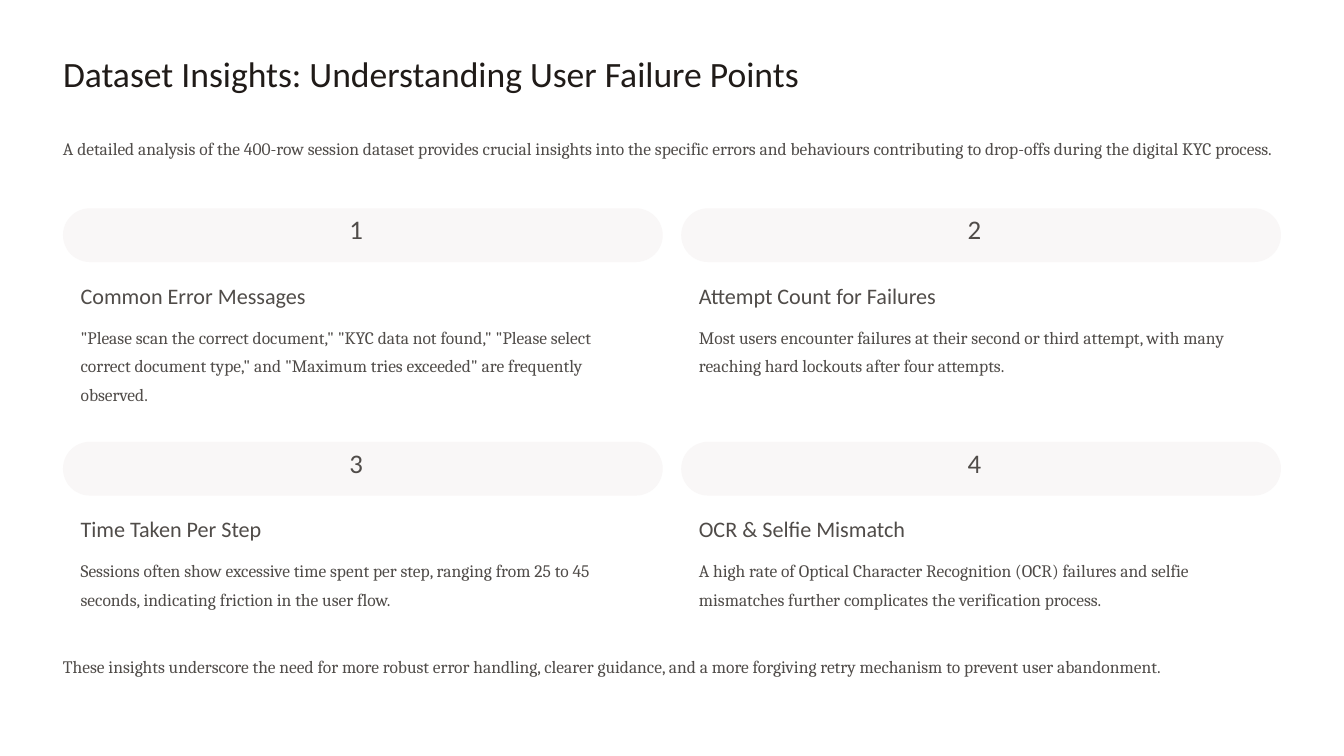
from pptx import Presentation
from pptx.dml.color import RGBColor
from pptx.enum.shapes import MSO_SHAPE
from pptx.util import Inches, Pt

COLORS = {"title": "201B18", "body": "504C49", "pill": "F9F7F7"}

presentation = Presentation()
presentation.slide_width = Inches(16)
presentation.slide_height = Inches(9)
slide = presentation.slides.add_slide(presentation.slide_layouts[6])


def add_text(text, left, top, width, height, size, spacing,
             font="Calibri", color="body", wrap=False):
    box = slide.shapes.add_textbox(Inches(left), Inches(top), Inches(width), Inches(height))
    frame = box.text_frame
    frame.margin_left = frame.margin_top = frame.margin_right = frame.margin_bottom = 0
    frame.word_wrap = wrap
    paragraph = frame.paragraphs[0]
    paragraph.text = text
    paragraph.line_spacing = Pt(spacing)
    paragraph.font.size = Pt(size)
    paragraph.font.name = font
    paragraph.font.color.rgb = RGBColor.from_string(COLORS[color])


def add_body(text, left, top, width, height):
    add_text(text, left, top, width, height, 15, 24.5, font="Cambria", wrap=True)


add_text("Dataset Insights: Understanding User Failure Points",
         0.75, 0.59, 10.89, 0.54, 30.5, 38.5, color="title")
add_body("A detailed analysis of the 400-row session dataset provides crucial insights into the "
         "specific errors and behaviours contributing to drop-offs during the digital KYC process.",
         0.75, 1.55, 14.5, 0.69)

insights = [
    ("Common Error Messages", 3.31, 1.03,
     '"Please scan the correct document," "KYC data not found," "Please select correct '
     'document type," and "Maximum tries exceeded" are frequently observed.'),
    ("Attempt Count for Failures", 3.54, 0.69,
     "Most users encounter failures at their second or third attempt, with many reaching "
     "hard lockouts after four attempts."),
    ("Time Taken Per Step", 2.71, 0.69,
     "Sessions often show excessive time spent per step, ranging from 25 to 45 seconds, "
     "indicating friction in the user flow."),
    ("OCR & Selfie Mismatch", 3.06, 0.69,
     "A high rate of Optical Character Recognition (OCR) failures and selfie mismatches "
     "further complicates the verification process."),
]

for index, (heading, heading_width, body_height, body) in enumerate(insights):
    row, column = divmod(index, 2)
    left = 0.75 + 7.36 * column
    top = 2.48 + 2.78 * row
    pill = slide.shapes.add_shape(MSO_SHAPE.ROUNDED_RECTANGLE, Inches(left), Inches(top),
                                  Inches(7.14), Inches(0.64))
    pill.adjustments[0] = 0.5
    pill.shadow.inherit = False
    pill.fill.solid()
    pill.fill.fore_color.rgb = RGBColor.from_string(COLORS["pill"])
    pill.line.fill.background()
    add_text(str(index + 1), left + 3.41, top + 0.12, 0.32, 0.4, 23, 23)
    add_text(heading, left + 0.21, top + 0.86, heading_width, 0.34, 19, 24)
    add_body(body, left + 0.21, top + 1.32, 6.71, body_height)

add_body("These insights underscore the need for more robust error handling, clearer guidance, "
         "and a more forgiving retry mechanism to prevent user abandonment.",
         0.75, 7.72, 14.5, 0.69)

presentation.save("out.pptx")
